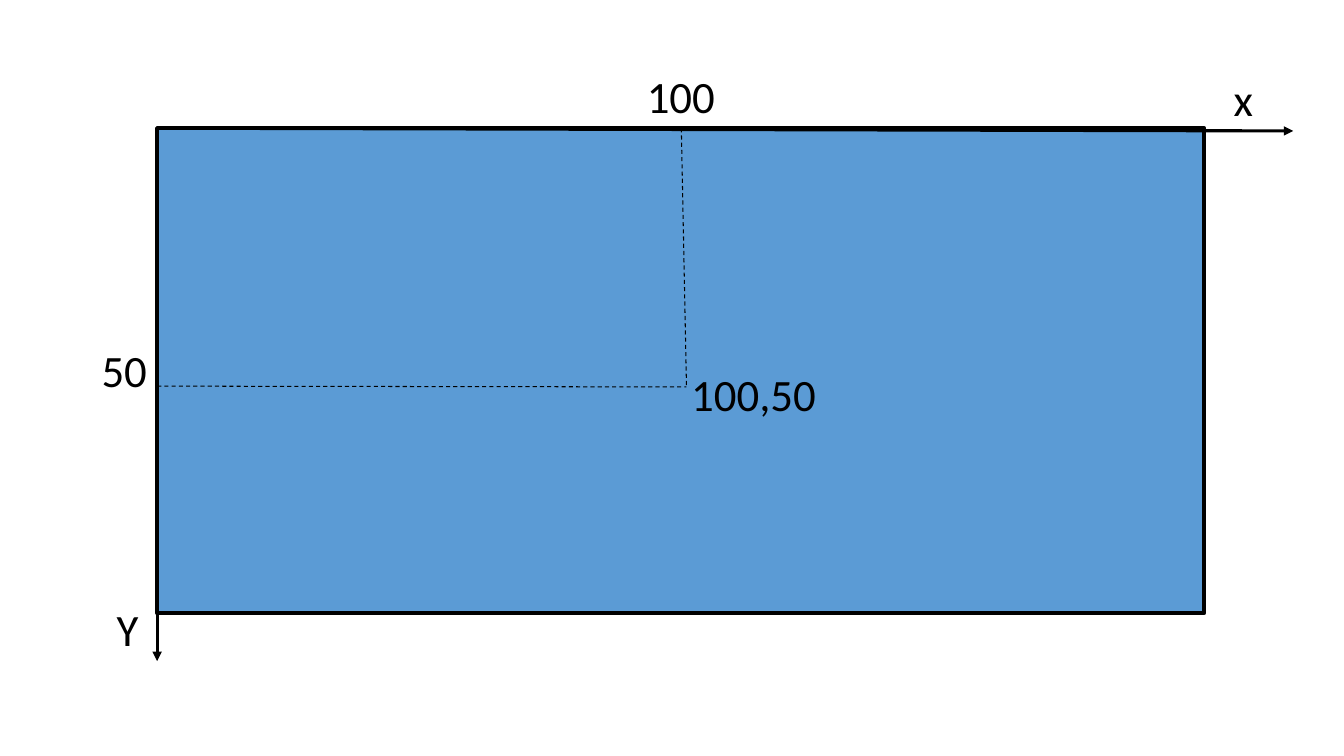
from dataclasses import dataclass

from pptx import Presentation
from pptx.dml.color import RGBColor
from pptx.enum.dml import MSO_LINE
from pptx.enum.shapes import MSO_CONNECTOR, MSO_SHAPE
from pptx.enum.text import MSO_AUTO_SIZE
from pptx.oxml.ns import qn
from pptx.util import Cm, Pt
from lxml.etree import SubElement


@dataclass(frozen=True)
class Theme:
    ink: RGBColor = RGBColor(0, 0, 0)
    area: RGBColor = RGBColor(0x5B, 0x9B, 0xD5)
    font: str = "Calibri"
    label: Pt = Pt(32)
    border: Pt = Pt(3)
    axis: Pt = Pt(2.25)
    guide: Pt = Pt(0.75)


THEME = Theme()
LEFT, TOP, WIDTH, HEIGHT = 3.96, 3.23, 26.39, 12.22
POINT = (17.3, 9.75)


def apply(target, formats):
    for name, value in formats.items():
        setattr(target, name, value)


def add_area(s):
    sp = s.shapes.add_shape(MSO_SHAPE.RECTANGLE, Cm(LEFT), Cm(TOP), Cm(WIDTH), Cm(HEIGHT))
    sp.shadow.inherit = False
    sp.fill.solid()
    sp.fill.fore_color.rgb = THEME.area
    sp.line.color.rgb = THEME.ink
    sp.line.width = THEME.border


def add_line(s, start, end, width):
    line = s.shapes.add_connector(MSO_CONNECTOR.STRAIGHT, *map(Cm, start + end))
    line.line.color.rgb = THEME.ink
    line.line.width = width
    SubElement(line._element.spPr, qn("a:effectLst"))
    return line


def add_axis(s, end):
    axis = add_line(s, (LEFT, TOP), end, THEME.axis)
    ln = axis._element.spPr.find(qn("a:ln"))
    SubElement(ln, qn("a:tailEnd"), type="triangle")


def add_guide(s, start):
    guide = add_line(s, start, POINT, THEME.guide)
    guide.line.dash_style = MSO_LINE.DASH


def add_label(s, text, left, top, width):
    tb = s.shapes.add_textbox(Cm(left), Cm(top), Cm(width), Cm(1.62))
    tf = tb.text_frame
    apply(tf, {"word_wrap": True, "auto_size": MSO_AUTO_SIZE.SHAPE_TO_FIT_TEXT})
    r = tf.paragraphs[0].add_run()
    r.text = text
    apply(r.font, {"name": THEME.font, "size": THEME.label})
    r.font.color.rgb = THEME.ink


def main():
    prs = Presentation()
    apply(prs, {"slide_width": Cm(33.87), "slide_height": Cm(19.05)})
    s = prs.slides.add_slide(prs.slide_layouts[6])
    add_area(s)
    for end in ((32.59, 3.3), (LEFT, 16.66)):
        add_axis(s, end)
    for start in ((17.17, TOP), (LEFT, 9.73)):
        add_guide(s, start)
    labels = (
        ("x", 30.84, 1.68, 1.27),
        ("Y", 2.69, 15.04, 1.27),
        ("100", 16.05, 1.6, 2.49),
        ("50", 2.31, 8.51, 1.68),
        ("100,50", 17.17, 9.12, 3.71),
    )
    for label in labels:
        add_label(s, *label)
    prs.save("out.pptx")


main()
